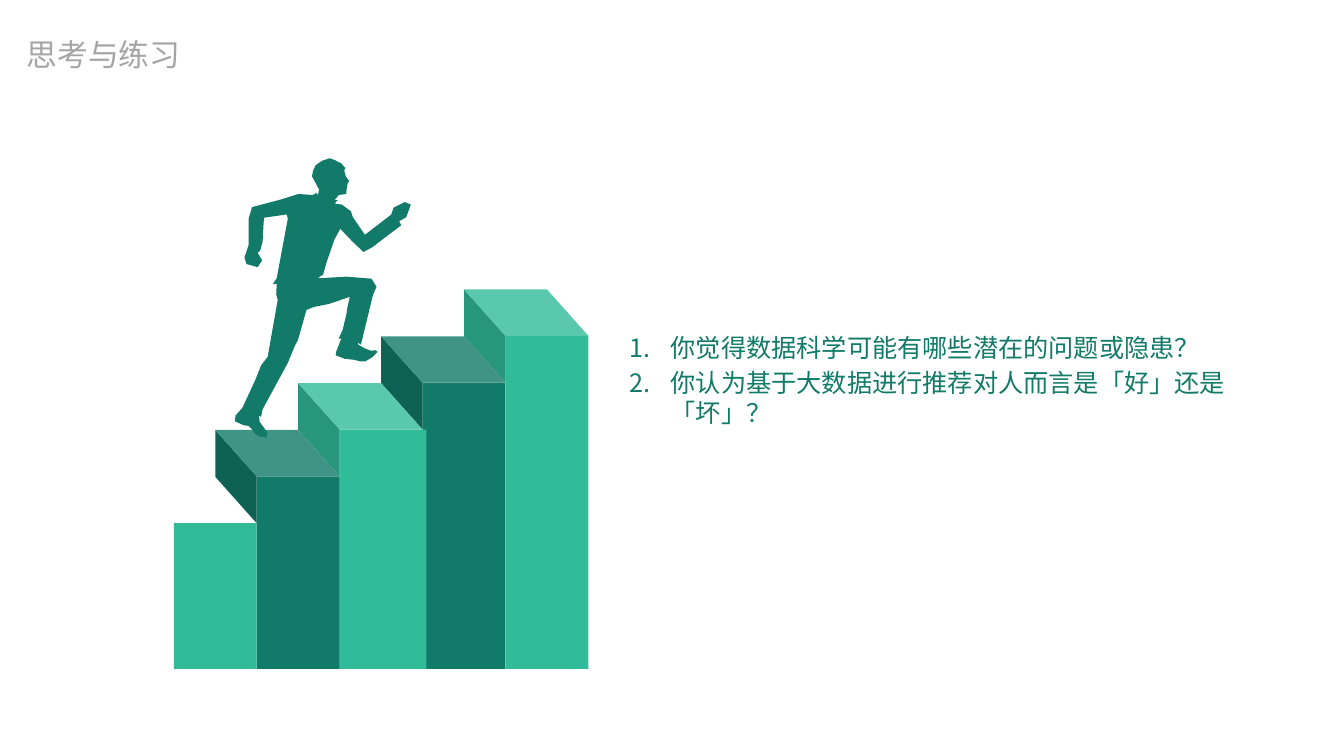
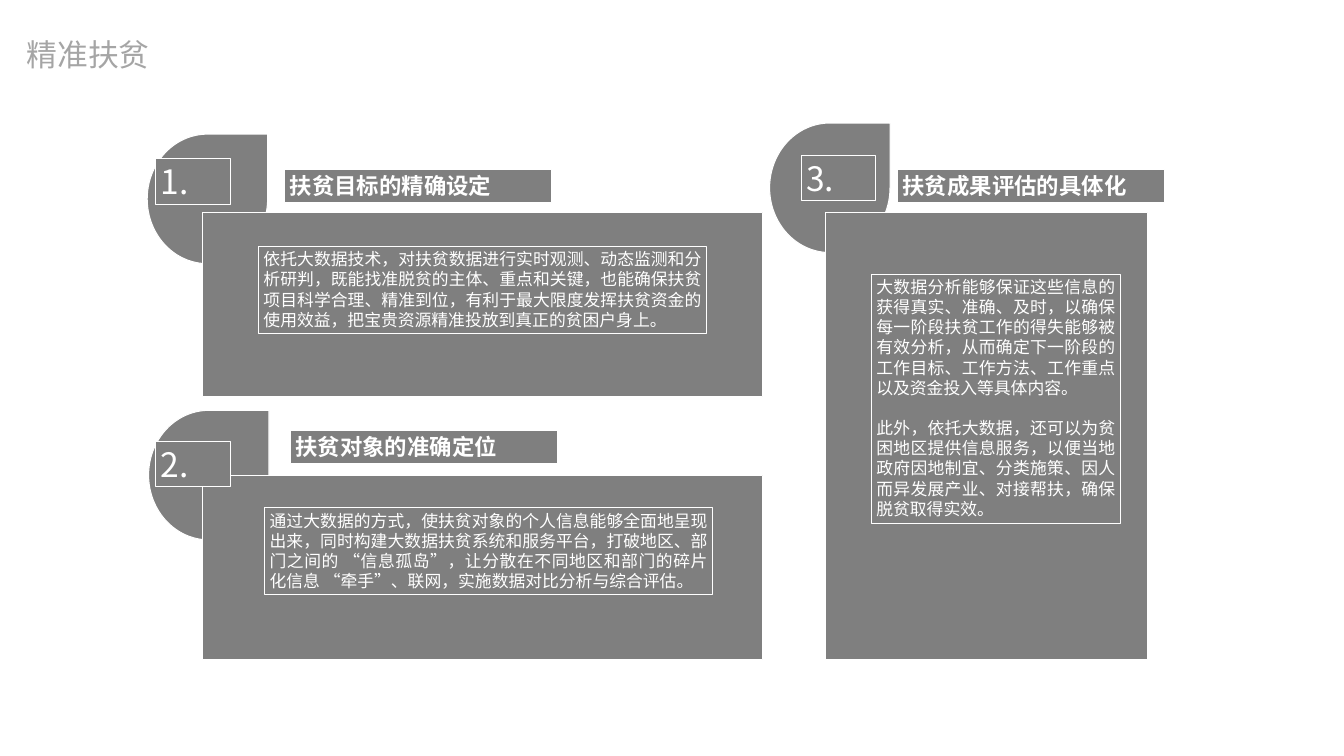
from dataclasses import dataclass
from itertools import chain

from lxml import etree
from pptx import Presentation
from pptx.dml.color import RGBColor
from pptx.enum.shapes import MSO_SHAPE
from pptx.enum.text import MSO_ANCHOR, MSO_AUTO_SIZE, PP_ALIGN
from pptx.oxml.ns import qn
from pptx.util import Cm, Pt

RECTANGLE, TEAR = MSO_SHAPE.RECTANGLE, MSO_SHAPE.TEAR
TOP, MIDDLE = MSO_ANCHOR.TOP, MSO_ANCHOR.MIDDLE
LEFT, JUSTIFY = PP_ALIGN.LEFT, PP_ALIGN.JUSTIFY
GROW = MSO_AUTO_SIZE.SHAPE_TO_FIT_TEXT

PAGE_SIZE = (67.74, 38.1)
TITLE_BOX = (1.09, 1.75, 27.89, 2.18)
QUESTION_BOX = (31.75, 16.74, 32.72, 4.93)
QUESTION_INDENT = 2.06

CJK_FONT, LATIN_FONT = "Noto Sans CJK SC", "Arial"
TITLE_SIZE, QUESTION_SIZE = 44, 36
NUMBER_SIZE, HEADING_SIZE, BODY_SIZE = 48, 32, 24
COLORS = {
    "title": "A5A5A5",
    "card": "7F7F7F",
    "white": "FFFFFF",
    "dark": "117A68",
    "dark side": "0E6254",
    "dark top": "409486",
    "light": "32BB99",
    "light side": "28967B",
    "light top": "5AC8AD",
}

STEP_COUNT = 5
STAIRS_LEFT, STAIRS_BOTTOM, LOWEST_TOP = 8.76, 33.71, 26.37
STEP_WIDTH, STEP_RISE = 4.18, 2.36
STEP_DEPTH_X, STEP_DEPTH_Y = 2.09, 2.34
MIDDLE_STEP, MIDDLE_STEP_OVERLAP = 2, 0.19

RUNNER_LEFT, RUNNER_TOP = 11.84, 7.95
RUNNER_UNIT = 0.0254
RUNNER_OUTLINE = {
    "front arm": [
        (337, 88), (315, 99), (310, 113), (258, 153), (234, 118), (230, 106), (212, 93)],
    "collar": [(198, 91), (204, 84), (198, 84), (206, 74)],
    "face": [
        (221, 72), (222, 59), (224, 50), (227, 47), (220, 37), (217, 26), (219, 20)],
    "hair": [
        (215, 16), (211, 11), (204, 8), (199, 5), (188, 1), (173, 6), (160, 15),
        (155, 26), (153, 37), (159, 48)],
    "neck": [(167, 63), (165, 74), (161, 70), (155, 74)],
    "back arm": [
        (126, 72), (91, 83), (34, 98), (27, 122), (27, 174), (19, 198), (23, 211),
        (45, 217), (54, 204), (45, 188), (50, 185), (55, 166), (57, 129), (58, 119),
        (72, 117), (100, 113)],
    "back": [(103, 113), (105, 121), (83, 239), (75, 251), (83, 250)],
    "back leg": [
        (82, 271), (85, 282), (65, 395), (52, 412), (40, 442), (15, 496)],
    "back foot": [
        (1, 512), (0, 523), (18, 531), (27, 532), (34, 539), (40, 547), (47, 553),
        (63, 555), (64, 545), (57, 535), (49, 524), (48, 512), (52, 514)],
    "back calf": [(55, 499), (105, 407), (119, 373), (125, 362), (142, 302)],
    "front thigh": [(157, 296), (187, 290), (228, 276)],
    "front shin": [(222, 303), (222, 307), (214, 341), (206, 359), (211, 359)],
    "front foot": [
        (201, 385), (200, 392), (218, 399), (237, 401), (248, 404), (259, 404),
        (274, 395), (283, 385), (279, 382), (270, 383), (257, 378), (245, 371),
        (243, 366), (250, 371)],
    "knee": [(274, 272), (281, 256), (271, 240), (221, 236), (170, 239), (165, 238)],
    "chest": [(175, 232), (182, 207), (198, 161), (202, 154), (209, 141)],
    "front elbow": [(233, 166), (255, 187), (272, 178)],
    "front hand": [(330, 134), (326, 126), (340, 118), (349, 93)],
}

QUESTIONS = [
    "你觉得数据科学可能有哪些潜在的问题或隐患？",
    "你认为基于大数据进行推荐对人而言是「好」还是「坏」？",
]

ROW_TOPS = (10.69, 23.95)
PANEL_LEFTS = (10.21, 41.61)
WIDE_PANEL, TALL_PANEL = (28.24, 9.3), (16.23, 22.53)
WIDE_BODY, TALL_BODY = (22.58, 4.37), (12.55, 12.57)
TEAR_SIZE, NUMBER_BOX_SIZE, HEADING_BOX_SIZE = (6.07, 6.53), (3.76, 2.31), (13.46, 1.63)


@dataclass
class Card:
    """A numbered card; positions and sizes are pairs in centimetres."""
    heading: str
    body: list
    panel_at: tuple
    panel_size: tuple
    body_at: tuple
    body_size: tuple
    heading_at: tuple
    number_at: tuple
    tear_at: tuple


CARDS = [
    Card(
        heading="扶贫目标的精确设定",
        body=["依托大数据技术，对扶贫数据进行实时观测、动态监测和分析研判，既能找准脱贫的主体、"
              "重点和关键，也能确保扶贫项目科学合理、精准到位，有利于最大限度发挥扶贫资金的"
              "使用效益，把宝贵资源精准投放到真正的贫困户身上。"],
        panel_at=(PANEL_LEFTS[0], ROW_TOPS[0]), panel_size=WIDE_PANEL,
        body_at=(13.03, 12.42), body_size=WIDE_BODY,
        heading_at=(14.35, 8.56), number_at=(7.85, 7.98), tear_at=(7.42, 6.76)),
    Card(
        heading="扶贫对象的准确定位",
        body=["通过大数据的方式，使扶贫对象的个人信息能够全面地呈现出来，同时构建大数据扶贫系统和"
              "服务平台，打破地区、部门之间的 “信息孤岛”，让分散在不同地区和部门的碎片化信息 "
              "“牵手”、联网，实施数据对比分析与综合评估。"],
        panel_at=(PANEL_LEFTS[0], ROW_TOPS[1]), panel_size=WIDE_PANEL,
        body_at=(13.34, 25.6), body_size=WIDE_BODY,
        heading_at=(14.63, 21.72), number_at=(7.85, 22.23), tear_at=(7.49, 20.68)),
    Card(
        heading="扶贫成果评估的具体化",
        body=["大数据分析能够保证这些信息的获得真实、准确、及时，以确保每一阶段扶贫工作的得失能够被"
              "有效分析，从而确定下一阶段的工作目标、工作方法、工作重点以及资金投入等具体内容。",
              "此外，依托大数据，还可以为贫困地区提供信息服务，以便当地政府因地制宜、分类施策、"
              "因人而异发展产业、对接帮扶，确保脱贫取得实效。"],
        panel_at=(PANEL_LEFTS[1], ROW_TOPS[0]), panel_size=TALL_PANEL,
        body_at=(43.92, 13.82), body_size=TALL_BODY,
        heading_at=(45.24, 8.56), number_at=(40.39, 7.82), tear_at=(38.79, 6.2)),
]


def color(name):
    """Return the named palette colour."""
    return RGBColor.from_string(COLORS[name])


def style_paragraph(paragraph, size, color_name, font=CJK_FONT, bold=False):
    """Set the Latin and East Asian fonts of a paragraph."""
    paragraph.font.size = Pt(size)
    paragraph.font.bold = bold
    paragraph.font.color.rgb = color(color_name)
    paragraph.font.name = font
    defaults = paragraph._p.pPr.find(qn("a:defRPr"))
    etree.SubElement(defaults, qn("a:ea")).set("typeface", CJK_FONT)


def number_paragraph(paragraph, indent):
    """Give a paragraph an automatic number with a hanging indent."""
    properties = paragraph._p.get_or_add_pPr()
    properties.set("marL", str(indent))
    properties.set("indent", str(-indent))
    etree.SubElement(properties, qn("a:buFont")).set("typeface", "+mj-lt")
    etree.SubElement(properties, qn("a:buAutoNum")).set("type", "arabicPeriod")


def fill_paragraphs(frame, texts, gap=0):
    """Write texts as paragraphs, spaced by gap points, and return them."""
    frame.word_wrap = True
    for index, text in enumerate(texts):
        paragraph = frame.add_paragraph() if index else frame.paragraphs[0]
        paragraph.text = text
        if index:
            paragraph.space_before = Pt(gap)
    return frame.paragraphs


def paint(shape, fill, line=None):
    """Give a shape a flat fill and an optional outline."""
    shape.shadow.inherit = False
    shape.fill.solid()
    shape.fill.fore_color.rgb = color(fill)
    if line:
        shape.line.color.rgb = color(line)
        shape.line.width = Pt(1.5)
    else:
        shape.line.fill.background()


def add_preset(page, kind, box, fill, line=None):
    """Add a painted preset shape."""
    shape = page.shapes.add_shape(kind, *map(Cm, box))
    paint(shape, fill, line)
    return shape


def add_polygon(page, points, fill):
    """Add a closed, painted outline through points in centimetres."""
    start, *others = [(Cm(x), Cm(y)) for x, y in points]
    builder = page.shapes.build_freeform(*start)
    builder.add_line_segments(others, close=True)
    paint(builder.convert_to_shape(), fill)


def add_title(page, text):
    """Add the grey page title."""
    box = page.shapes.add_textbox(*map(Cm, TITLE_BOX))
    box.text_frame.vertical_anchor = MIDDLE
    paragraph, = fill_paragraphs(box.text_frame, [text])
    paragraph.line_spacing = 0.9
    style_paragraph(paragraph, TITLE_SIZE, "title")


def add_step(page, index):
    """Add one step; all but the lowest show a side and a top."""
    tone = "dark" if index % 2 else "light"
    left = STAIRS_LEFT + index * STEP_WIDTH
    right = left + STEP_WIDTH
    top = LOWEST_TOP - index * STEP_RISE
    width = STEP_WIDTH + (MIDDLE_STEP_OVERLAP if index == MIDDLE_STEP else 0)
    add_preset(page, RECTANGLE, (left, top, width, STAIRS_BOTTOM - top), tone)
    if index == 0:
        return

    front_left, front_right = (left, top), (right, top)
    back_left = (left - STEP_DEPTH_X, top - STEP_DEPTH_Y)
    back_right = (right - STEP_DEPTH_X, top - STEP_DEPTH_Y)
    lower_back = (back_left[0], back_left[1] + STEP_RISE)
    lower_front = (left, top + STEP_RISE)
    add_polygon(page, [front_left, back_left, lower_back, lower_front], f"{tone} side")
    add_polygon(page, [back_right, back_left, front_left, front_right], f"{tone} top")


def add_stairs(page):
    """Add the steps from the highest to the lowest."""
    for index in reversed(range(STEP_COUNT)):
        add_step(page, index)


def add_runner(page):
    """Add the running figure as one outline joined from its parts."""
    points = [(RUNNER_LEFT + x * RUNNER_UNIT, RUNNER_TOP + y * RUNNER_UNIT)
              for x, y in chain.from_iterable(RUNNER_OUTLINE.values())]
    add_polygon(page, points, "dark")


def add_questions(page, questions):
    """Add the numbered list of questions."""
    frame = page.shapes.add_textbox(*map(Cm, QUESTION_BOX)).text_frame
    frame.margin_left = frame.margin_right = frame.margin_top = frame.margin_bottom = 0
    for paragraph in fill_paragraphs(frame, questions, gap=QUESTION_SIZE * 0.2):
        number_paragraph(paragraph, Cm(QUESTION_INDENT))
        style_paragraph(paragraph, QUESTION_SIZE, "dark", LATIN_FONT)


def add_label(page, box, texts, size, align=LEFT, bold=False):
    """Add an outlined grey box with white text, one line between paragraphs."""
    frame = add_preset(page, RECTANGLE, box, "card", "white").text_frame
    frame.vertical_anchor = TOP
    frame.auto_size = GROW
    for paragraph in fill_paragraphs(frame, texts, gap=size * 1.2):
        paragraph.alignment = align
        style_paragraph(paragraph, size, "white", bold=bold)


def add_card(page, number, card):
    """Add a card: drop, panel, number, body and heading."""
    add_preset(page, TEAR, card.tear_at + TEAR_SIZE, "card", "white")
    add_preset(page, RECTANGLE, card.panel_at + card.panel_size, "card", "white")
    add_label(page, card.number_at + NUMBER_BOX_SIZE, [f"{number}."], NUMBER_SIZE)
    add_label(page, card.body_at + card.body_size, card.body, BODY_SIZE, JUSTIFY)
    add_label(page, card.heading_at + HEADING_BOX_SIZE, [card.heading], HEADING_SIZE,
              bold=True)


def add_page(deck, title):
    """Add a blank page with its title."""
    page = deck.slides.add_slide(deck.slide_layouts[6])
    add_title(page, title)
    return page


def main():
    """Build the deck."""
    deck = Presentation()
    deck.slide_width, deck.slide_height = map(Cm, PAGE_SIZE)

    exercise_page = add_page(deck, "思考与练习")
    add_stairs(exercise_page)
    add_runner(exercise_page)
    add_questions(exercise_page, QUESTIONS)

    poverty_page = add_page(deck, "精准扶贫")
    for number, card in enumerate(CARDS, start=1):
        add_card(poverty_page, number, card)

    deck.save("out.pptx")


if __name__ == "__main__":
    main()
